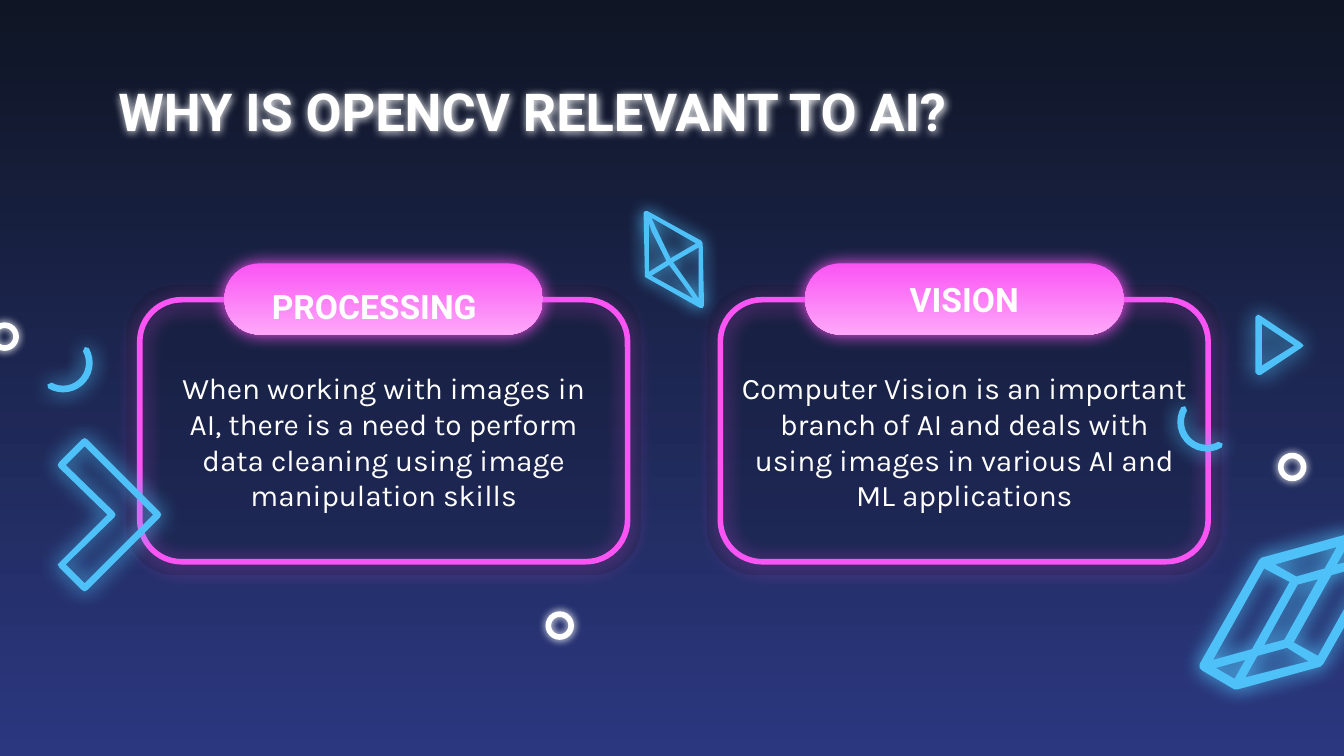
import math

import pptx
import pptx.dml.color
import pptx.enum.shapes
import pptx.enum.text
import pptx.oxml.ns
import pptx.util
from lxml import etree

RGBColor = pptx.dml.color.RGBColor
MSO_SHAPE = pptx.enum.shapes.MSO_SHAPE
PP_ALIGN = pptx.enum.text.PP_ALIGN
MSO_ANCHOR = pptx.enum.text.MSO_ANCHOR
Pt = pptx.util.Pt
qn = pptx.oxml.ns.qn

NIGHT = RGBColor(0x0F, 0x15, 0x24)
INDIGO = RGBColor(0x2B, 0x38, 0x80)
SKY = RGBColor(0x4F, 0xC1, 0xF9)
PINK = RGBColor(0xFB, 0x54, 0xF4)
PALE_PINK = RGBColor(0xFD, 0xA7, 0xF9)
WHITE = RGBColor(0xFF, 0xFF, 0xFF)

deck = pptx.Presentation()
deck.slide_width = pptx.util.Inches(10)
deck.slide_height = deck.slide_width * 9 // 16
COLUMN = deck.slide_width / 10

slide = deck.slides.add_slide(deck.slide_layouts.get_by_name("Comparison"))
shapes = slide.shapes


def glow(shape, color, blur, opacity=100, drop=0):
    shape.shadow.inherit = False
    effects = shape.element.spPr.find(qn("a:effectLst"))
    shadow = etree.SubElement(
        effects, qn("a:outerShdw"), blurRad=str(int(Pt(blur))),
        dist=str(int(Pt(drop))), dir="5400000", algn="bl", rotWithShape="0")
    tint = etree.SubElement(shadow, qn("a:srgbClr"), val=str(color))
    etree.SubElement(tint, qn("a:alpha"), val=str(opacity * 1000))


def ornament(outlines, blur, pivot=(0, 0), turn=0):
    cos, sin = math.cos(math.radians(turn)), math.sin(math.radians(turn))
    builder = None
    for outline in outlines:
        points = []
        for x, y in outline:
            dx, dy = x - pivot[0], y - pivot[1]
            points.append(((pivot[0] + dx * cos + dy * sin) * COLUMN,
                           (pivot[1] - dx * sin + dy * cos) * COLUMN))
        if builder is None:
            builder = shapes.build_freeform(*points[0], scale=1.0)
        else:
            builder.move_to(*points[0])
        builder.add_line_segments(points[1:], close=True)
    figure = builder.convert_to_shape()
    figure.rotation = turn
    figure.fill.solid()
    figure.fill.fore_color.rgb = SKY
    figure.line.fill.background()
    glow(figure, SKY, blur)


slide.background.fill.gradient()
backdrop = slide.background.fill
backdrop.gradient_angle = 270
for stop, color in zip(backdrop.gradient_stops, (NIGHT, INDIGO)):
    stop.color.rgb = color

triangle = [
    [(9.34, 2.36), (9.36, 2.34), (9.38, 2.35), (9.68, 2.55), (9.7, 2.57),
     (9.68, 2.59), (9.38, 2.79), (9.36, 2.79), (9.34, 2.77)],
    [(9.39, 2.41), (9.63, 2.57), (9.39, 2.72)],
]
prism = [
    [(10.04, 3.98), (10.01, 3.98), (9.39, 4.15), (9.37, 4.17), (8.93, 4.94),
     (8.93, 4.97), (8.95, 4.99), (9.19, 5.13), (9.21, 5.13), (9.83, 4.96),
     (9.85, 4.94), (10.29, 4.17), (10.3, 4.15), (10.28, 4.12)],
    [(10.18, 4.14), (9.95, 4.2), (10.03, 4.06)],
    [(9.95, 4.07), (9.86, 4.23), (9.65, 4.29), (9.49, 4.2)],
    [(10.19, 4.2), (9.81, 4.88), (9.63, 4.78), (9.91, 4.28)],
    [(9.81, 4.31), (9.56, 4.76), (9.41, 4.8), (9.66, 4.35)],
    [(9.6, 4.33), (9.32, 4.83), (9.03, 4.91), (9.41, 4.23)],
    [(9.74, 4.92), (9.27, 5.04), (9.36, 4.88), (9.58, 4.82)],
    [(9.27, 4.91), (9.19, 5.05), (9.05, 4.97)],
]
chevron = [
    [(0.43, 3.46), (0.44, 3.44), (0.61, 3.27), (0.63, 3.26), (0.65, 3.27),
     (1.19, 3.81), (1.2, 3.83), (1.19, 3.85), (0.65, 4.39), (0.63, 4.4),
     (0.61, 4.39), (0.44, 4.22), (0.43, 4.2), (0.44, 4.19), (0.8, 3.83),
     (0.44, 3.48)],
    [(0.63, 3.32), (1.14, 3.83), (0.63, 4.34), (0.49, 4.2), (0.85, 3.85),
     (0.86, 3.83), (0.85, 3.81), (0.49, 3.46)],
]
diamond = [
    [(4.79, 1.58), (4.8, 1.57), (4.82, 1.57), (5.22, 1.79), (5.23, 1.81),
     (5.24, 2.27), (5.23, 2.29), (5.21, 2.29), (4.8, 2.06), (4.8, 2.05)],
    [(4.85, 1.62), (5.18, 1.81), (4.99, 1.92), (4.88, 1.69)],
    [(4.83, 1.66), (4.85, 1.72), (4.96, 1.94), (4.83, 2.02)],
    [(4.98, 1.97), (5.12, 2.16), (5.16, 2.22), (4.85, 2.05)],
    [(5.2, 1.84), (5.2, 2.22), (5.16, 2.16), (5.01, 1.95)],
]

crescent = [(0.22, angle) for angle in range(-30, 121, 10)]
crescent += [(0.2, 126)]
crescent += [(0.17, angle) for angle in range(120, -31, -10)]
crescent += [(0.2, -36)]
left_arc, right_arc = [
    [(center_x + side * radius * math.cos(math.radians(angle)),
      center_y + radius * math.sin(math.radians(angle)))
     for radius, angle in crescent]
    for center_x, center_y, side in ((0.47, 2.7, 1), (8.98, 3.14, -1))
]

ornament(triangle, 12.4)
ornament(prism, 11.3, (9.61, 4.56), 29.4)
ornament([left_arc], 11.3)

for x, y in ((9.53, 3.39), (-0.05, 2.42), (4.08, 4.57)):
    ring = shapes.add_shape(
        MSO_SHAPE.OVAL, *(int(n * COLUMN) for n in (x, y, 0.17, 0.17)))
    ring.fill.background()
    ring.line.color.rgb = WHITE
    ring.line.width = Pt(3)
    glow(ring, WHITE, 4.5)

for card_left in (5.26, 0.94):
    panel, frame, pill = [
        shapes.add_shape(MSO_SHAPE.ROUNDED_RECTANGLE,
                         *(int(n * COLUMN) for n in (card_left + inset, y, w, h)))
        for inset, y, w, h in ((0, 2.12, 3.83, 2.16),
                               (0.1, 2.23, 3.63, 1.95),
                               (0.73, 1.96, 2.37, 0.53))
    ]
    for part, rounding in ((panel, 0.17), (frame, 0.16), (pill, 0.5)):
        part.adjustments[0] = rounding
        part.line.fill.background()

    panel.shadow.inherit = False
    panel.fill.solid()
    panel.fill.fore_color.rgb = NIGHT
    tint = panel.element.spPr.find(qn("a:solidFill"))[0]
    etree.SubElement(tint, qn("a:alpha"), val="24000")

    frame.fill.background()
    frame.line.color.rgb = PINK
    frame.line.width = Pt(3)
    glow(frame, PINK, 11.3, opacity=62, drop=1.5)

    pill.fill.gradient()
    pill.fill.gradient_angle = 270
    for stop, color in zip(pill.fill.gradient_stops, (PINK, PALE_PINK)):
        stop.color.rgb = color
    glow(pill, PINK, 9)

ornament(chevron, 11.3, (0.63, 3.83), 315)
ornament([right_arc], 11.3)
ornament(diamond, 9, (5.01, 1.93), 328.9)

TITLE = ("Roboto", 28, True, PP_ALIGN.LEFT, MSO_ANCHOR.TOP, 0.1)
HEADING = ("Roboto", 18, True, PP_ALIGN.CENTER, MSO_ANCHOR.MIDDLE, 0)
DETAIL = ("Karla", 16, False, PP_ALIGN.CENTER, MSO_ANCHOR.TOP, 0)
wording = [
    ("WHY IS OPENCV RELEVANT TO AI?", (0.78, 0.49, 8.44, 0.63), TITLE),
    ("PROCESSING", (1.6, 2.01, 2.37, 0.53), HEADING),
    ("When working with images in AI, there is a need to perform data cleaning "
     "using image manipulation skills", (1.34, 2.65, 3.03, 1.28), DETAIL),
    ("VISION", (6.43, 1.96, 1.49, 0.53), HEADING),
    ("Computer Vision is an important branch of AI and deals with using images "
     "in various AI and ML applications", (5.49, 2.65, 3.37, 1.28), DETAIL),
]
for holder, (text, place, style) in zip(list(slide.placeholders), wording):
    typeface, size, bold, alignment, anchor, side_margin = style
    shapes.element.append(holder.element)
    holder.left, holder.top, holder.width, holder.height = (
        int(n * COLUMN) for n in place)
    body = holder.text_frame
    body.text = text
    body.word_wrap = True
    body.auto_size = pptx.enum.text.MSO_AUTO_SIZE.NONE
    body.vertical_anchor = anchor
    body.margin_left = body.margin_right = int(side_margin * COLUMN)
    body.margin_top = body.margin_bottom = int(0.1 * COLUMN)
    line = body.paragraphs[0]
    properties = line._p.get_or_add_pPr()
    properties.set("marL", "0")
    properties.set("indent", "0")
    etree.SubElement(properties, qn("a:buNone"))
    line.alignment = alignment
    line.space_before = Pt(0)
    line.font.name = typeface
    line.font.size = Pt(size)
    line.font.bold = bold
    line.font.color.rgb = WHITE

glow(shapes.title, WHITE, 4.5)

deck.save("out.pptx")
